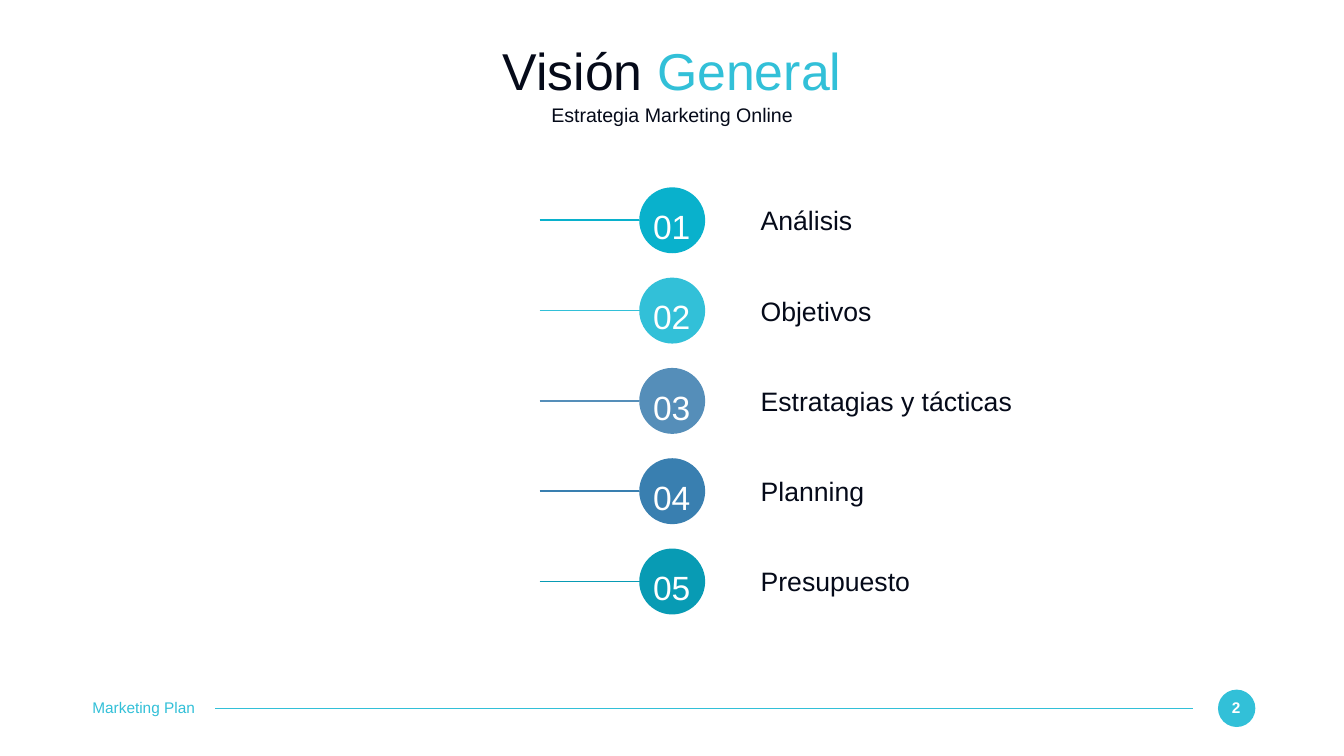
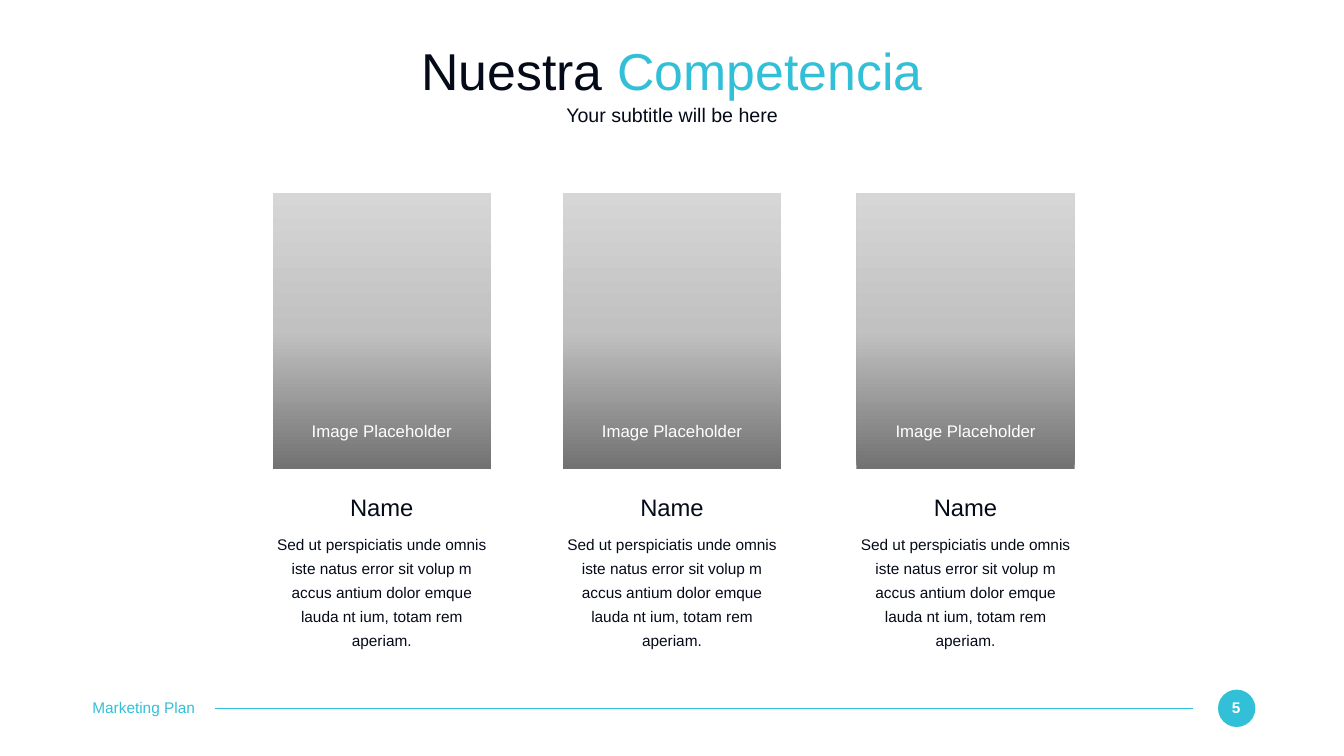
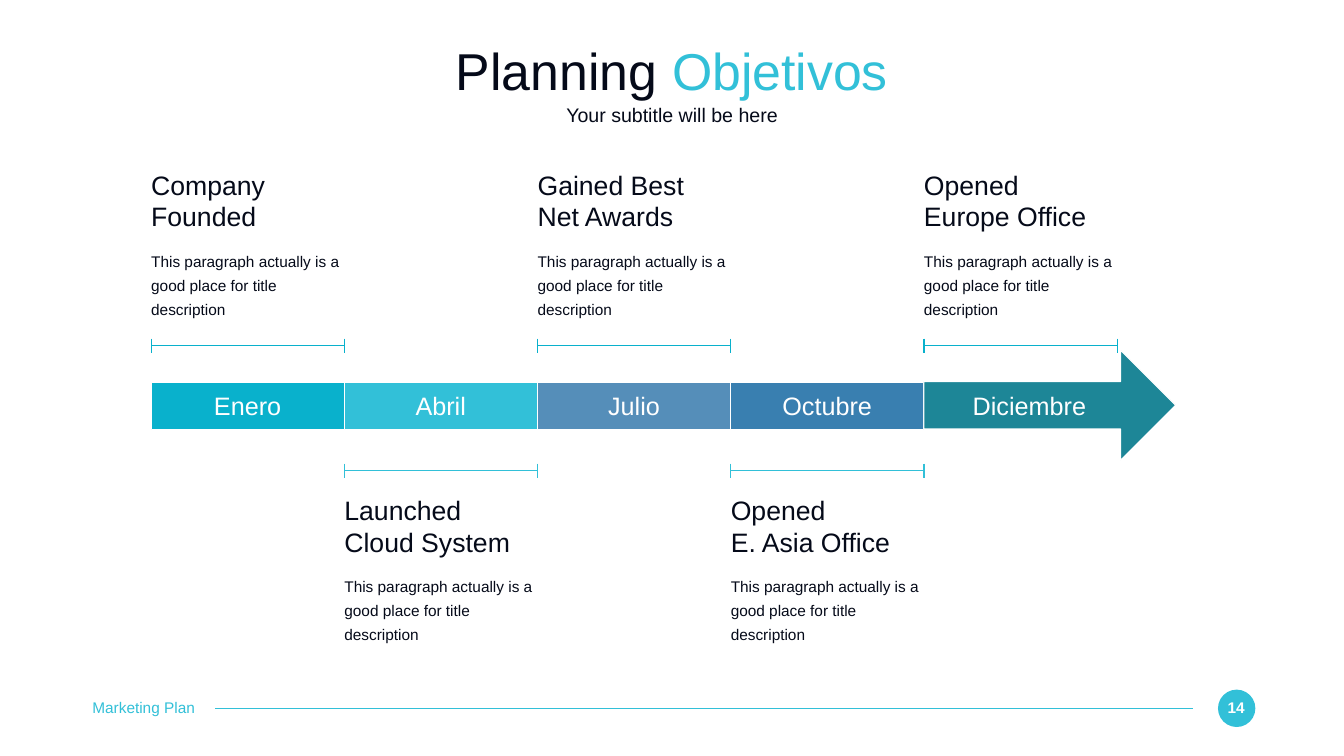
from dataclasses import dataclass

from pptx import Presentation
from pptx.dml.color import RGBColor
from pptx.enum.shapes import MSO_CONNECTOR as Connector, MSO_SHAPE as Preset
from pptx.enum.text import MSO_ANCHOR as Anchor, MSO_AUTO_SIZE as AutoSize, PP_ALIGN as Align
from pptx.oxml import parse_xml
from pptx.oxml.ns import nsdecls, qn
from pptx.util import Inches, Pt


@dataclass(frozen=True)
class Theme:
    """Colours, font and type sizes of the deck."""
    font: str = "Arial"
    ink: str = "050A19"
    white: str = "FFFFFF"
    accent: str = "32C0D8"
    cyan: str = "09B1CC"
    steps: tuple = ("09B1CC", "32C0D8", "558EB9", "397FB0", "089BB4")
    arrow: str = "1D8697"
    card: tuple = ((0, "727272"), (50, "C1C1C1"), (100, "D6D6D6"))
    title: int = 74
    number: int = 48
    heading: int = 38
    month: int = 36
    name: int = 34
    subtitle: int = 28
    caption: int = 24
    small: int = 22


theme = Theme()

deck = Presentation()
deck.slide_width, deck.slide_height = Inches(26.67), Inches(15)
COLUMN, ROW = deck.slide_width / 32, deck.slide_height / 18

FRAME = {"margin_left": 0, "margin_top": 0, "margin_right": 0, "margin_bottom": 0,
         "word_wrap": True, "auto_size": AutoSize.NONE}


def draw(shapes, kind, at, color=None, weight=None):
    """Add a text box, line or preset shape; at counts columns and rows.

    A line takes its start and end, the others left, top, width and height.
    """
    spot = [round(value * unit) for value, unit in zip(at, (COLUMN, ROW) * 2)]
    if kind == "text":
        return shapes.add_textbox(*spot)
    if kind == "line":
        item = shapes.add_connector(Connector.STRAIGHT, *spot)
        item.element.spPr.append(parse_xml(f"<a:effectLst {nsdecls('a')}/>"))
        item.line.color.rgb = RGBColor.from_string(color)
        item.line.width = Pt(weight)
        return item
    item = shapes.add_shape(kind, *spot)
    item.shadow.inherit = False
    if color:
        item.fill.solid()
        item.fill.fore_color.rgb = RGBColor.from_string(color)
    else:
        item.fill.background()
    if weight:
        item.line.color.rgb = RGBColor.from_string(theme.white)
        item.line.width = Pt(weight)
    else:
        item.line.fill.background()
    return item


def write(box, text, size, color=theme.ink, align=Align.CENTER, spacing=None,
          anchor=Anchor.TOP, bold=False, accent=""):
    """Fill a box, one paragraph a line; accent is a second run in the accent colour."""
    frame = box.text_frame
    for key, value in {**FRAME, "vertical_anchor": anchor}.items():
        setattr(frame, key, value)
    for index, line in enumerate(text.split("\n")):
        para = frame.add_paragraph() if index else frame.paragraphs[0]
        layout_values = {"alignment": align, "line_spacing": spacing, "space_before": Pt(0)}
        for key, value in layout_values.items():
            setattr(para, key, value)
        for words, tint in ((line, color), (accent, theme.accent)):
            if words:
                span = para.add_run()
                span.text = words
                for key, value in {"name": theme.font, "size": Pt(size), "bold": bold}.items():
                    setattr(span.font, key, value)
                span.font.color.rgb = RGBColor.from_string(tint)


# Shared layout: title and subtitle places, no date or footer fields
layout = deck.slide_layouts[1]
for holder in list(layout.placeholders):
    if holder.placeholder_format.idx >= 10:
        holder.element.getparent().remove(holder.element)
for holder, top, height in zip(layout.placeholders, (0.88, 2.44), (1.52, 0.59)):
    holder.left, holder.width = round(2.2 * COLUMN), round(27.6 * COLUMN)
    holder.top, holder.height = round(top * ROW), round(height * ROW)
layout.placeholders[1].element.txBody.find(qn("a:lstStyle")).append(parse_xml(
    f'<a:lvl1pPr {nsdecls("a")} marL="0" indent="0" algn="ctr"><a:buNone/></a:lvl1pPr>'))

headers = (
    (2, "Visión ", "General", "Estrategia Marketing Online"),
    (5, "Nuestra ", "Competencia", "Your subtitle will be here"),
    (14, "Planning ", "Objetivos", "Your subtitle will be here"),
)
pages = []
for page_number, plain, accent, subtitle in headers:
    page = deck.slides.add_slide(layout)
    if not pages:
        # The footer is drawn once and moved to the layout
        disc = draw(page.shapes, Preset.OVAL, (29, 16.42, 0.89, 0.89), theme.accent)
        footer_line = draw(page.shapes, "line", (28.4, 16.86, 5.12, 16.86), theme.accent, 1.5)
        footer = draw(page.shapes, "text", (2.2, 16.61, 3.11, 0.44))
        write(footer, "Marketing Plan", theme.small, theme.accent, Align.LEFT)
        for part in (disc, footer_line, footer):
            layout.shapes.element.append(part.element)
    write(page.shapes.title, plain, theme.title, anchor=Anchor.BOTTOM, accent=accent)
    write(page.placeholders[1], subtitle, theme.subtitle, anchor=Anchor.MIDDLE)
    write(draw(page.shapes, "text", (29.08, 16.62, 0.71, 0.44)), str(page_number),
          theme.small, theme.white, bold=True)
    pages.append(page)
overview, rivals, timeline = (page.shapes for page in pages)

# Overview: five numbered topics
topics = ("Análisis", "Objetivos", "Estratagias y tácticas", "Planning", "Presupuesto")
DISC = 1.57
for index, (topic, color) in enumerate(zip(topics, theme.steps)):
    top = 4.46 + 2.15 * index
    middle = top + DISC / 2
    draw(overview, Preset.OVAL, (15.22, top, DISC, DISC), color)
    draw(overview, "line", (12.85, middle, 15.22, middle), color, 2.25)
    write(draw(overview, "text", (15.38, top + 0.25, 1.23, 1.16)), f"{index + 1:02}",
          theme.number, theme.white, spacing=1.2)
    write(draw(overview, "text", (18.11, top + 0.4, 7.55, 0.77)), topic,
          theme.heading, align=Align.LEFT)

# Competitors: three image cards with name and description
profile = ("Sed ut perspiciatis unde omnis iste natus error sit volup m "
           "accus antium dolor emque lauda nt ium, totam rem aperiam.")
stops = "".join(f'<a:gs pos="{share * 1000}"><a:srgbClr val="{color}"/></a:gs>'
                for share, color in theme.card)
gradient = (f'<a:gradFill {nsdecls("a")} rotWithShape="1"><a:gsLst>{stops}</a:gsLst>'
            '<a:lin ang="16200000" scaled="0"/></a:gradFill>')
CARD = 5.2
for left in (6.49, 13.4, 20.39):
    write(draw(rivals, "text", (left, 11.72, CARD, 0.68)), "Name", theme.name)
    write(draw(rivals, "text", (left, 12.61, CARD, 0.53)), profile, theme.small, spacing=1.3)
    properties = draw(rivals, Preset.RECTANGLE, (left, 4.6, CARD, 6.56)).element.spPr
    properties.replace(properties.find(qn("a:noFill")), parse_xml(gradient))
    write(draw(rivals, "text", (left + 0.27, 10.01, CARD - 0.54, 0.48)),
          "Image Placeholder", theme.caption, theme.white)

# Timeline: four bars and an arrow, with events above and below in turn
events = (
    ("Enero", "Company Founded"),
    ("Abril", "Launched Cloud System"),
    ("Julio", "Gained Best\nNet Awards"),
    ("Octubre", "Opened\nE. Asia Office"),
    ("Diciembre", "Opened\nEurope Office"),
)
description = "This paragraph actually is a good place for title description"
BAR, TICK = 4.6, 0.17
for index, (month, event) in enumerate(events):
    left = 3.6 + BAR * index
    right = left + BAR
    if index < len(events) - 1:
        draw(timeline, Preset.RECTANGLE, (left, 9.1, BAR, 1.13), theme.steps[index], 1.5)
        month_left, month_width = left + 1.22, 2.15
    else:
        arrow = draw(timeline, Preset.RIGHT_ARROW, (left, 8.34, 5.99, 2.62), theme.arrow, 1.5)
        arrow.adjustments[0], arrow.adjustments[1] = 0.43, 0.5
        month_left, month_width = left + 0.61, 3.8
    write(draw(timeline, "text", (month_left, 9.29, month_width, 0.73)), month,
          theme.month, theme.white)

    below = index % 2
    level, top, color = ((8.23, 4.01, theme.cyan), (11.21, 11.76, theme.accent))[below]
    bracket = timeline.add_group_shape().shapes
    draw(bracket, "line", (left, level, right, level), color, 1.5)
    for end in (left, right):
        draw(bracket, "line", (end, level - TICK, end, level + TICK), color, 1.5)
    write(draw(timeline, "text", (left, top, BAR, 1.54)), event,
          theme.heading, align=Align.LEFT)
    write(draw(timeline, "text", (left, top + 1.86, BAR, 1.73)), description,
          theme.small, align=Align.LEFT, spacing=1.3)

deck.save("out.pptx")
